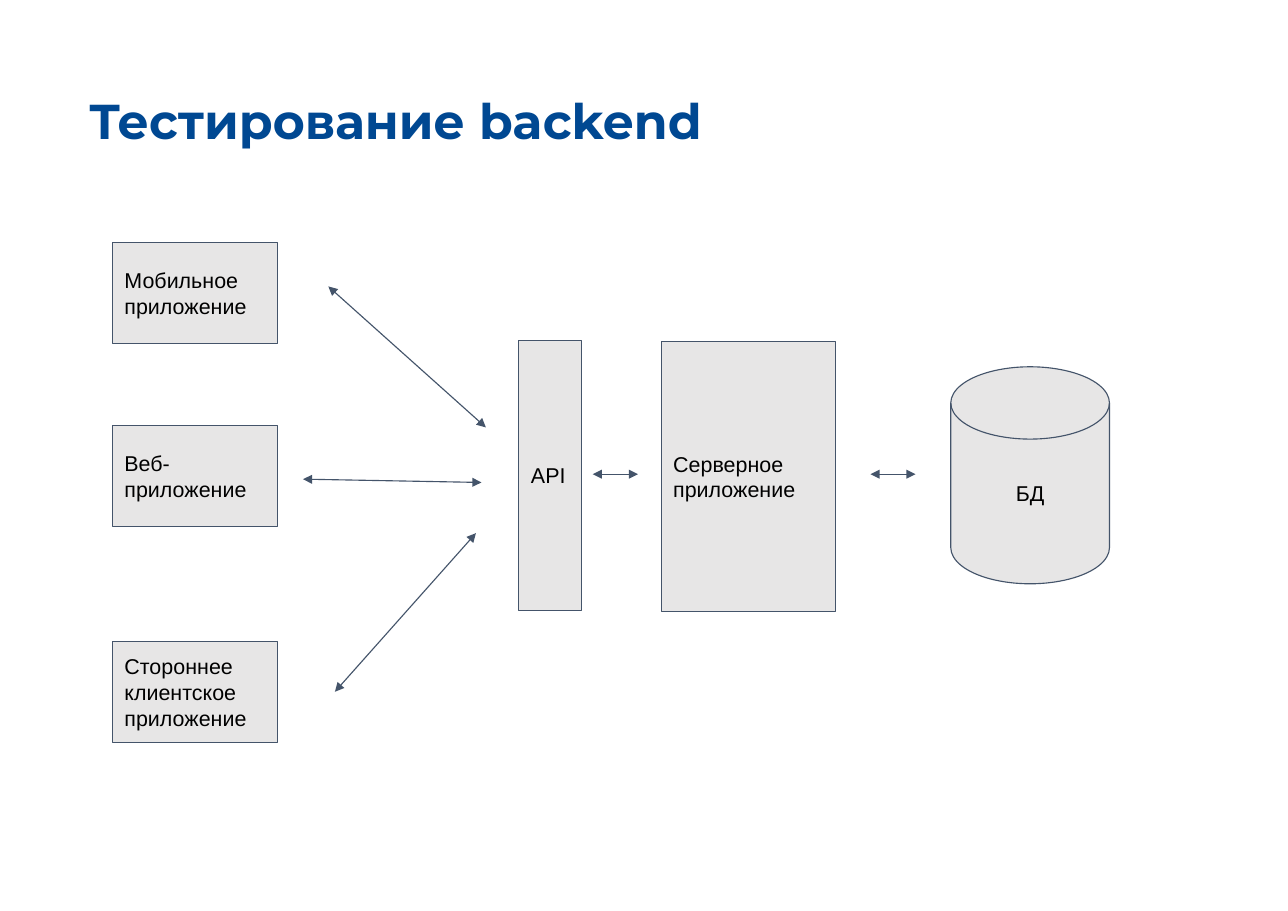
from lxml import etree
from pptx import Presentation
from pptx.dml.color import RGBColor
from pptx.enum.shapes import MSO_CONNECTOR, MSO_SHAPE
from pptx.enum.text import MSO_ANCHOR, PP_ALIGN
from pptx.oxml.ns import qn
from pptx.util import Inches, Pt

RECT, DISK = MSO_SHAPE.RECTANGLE, MSO_SHAPE.FLOWCHART_MAGNETIC_DISK
STRAIGHT = MSO_CONNECTOR.STRAIGHT
TOP, MIDDLE = MSO_ANCHOR.TOP, MSO_ANCHOR.MIDDLE
LEFT, CENTER = PP_ALIGN.LEFT, PP_ALIGN.CENTER

BLUE = RGBColor(0x00, 0x48, 0x92)
SLATE = RGBColor(0x44, 0x54, 0x6A)
GREY = RGBColor(0xE7, 0xE6, 0xE6)
BLACK = RGBColor(0x00, 0x00, 0x00)

SLIDE_W, SLIDE_H = 11.69, 8.27
LINE_W = Pt(0.75)


def set_text(sp, text, size=14, font="Arial", color=BLACK, bold=False,
             align=LEFT, anchor=MIDDLE, inset=0.11):
    tf = sp.text_frame
    tf.word_wrap = True
    tf.vertical_anchor = anchor
    tf.margin_left = tf.margin_right = Inches(inset)
    tf.margin_top = tf.margin_bottom = Inches(inset)
    p = tf.paragraphs[0]
    p.alignment = align
    r = p.add_run()
    r.text = text
    r.font.size, r.font.name = Pt(size), font
    r.font.bold, r.font.color.rgb = bold, color


def add_node(slide, text, x, y, w, h, kind=RECT, align=LEFT):
    sp = slide.shapes.add_shape(kind, *map(Inches, (x, y, w, h)))
    sp.shadow.inherit = False
    sp.fill.solid()
    sp.fill.fore_color.rgb = GREY
    sp.line.color.rgb = SLATE
    sp.line.width = LINE_W
    set_text(sp, text, align=align)


def add_double_arrow(slide, x1, y1, x2, y2):
    line = slide.shapes.add_connector(STRAIGHT, *map(Inches, (x1, y1, x2, y2)))
    line.line.color.rgb = SLATE
    line.line.width = LINE_W
    ln = line.line._get_or_add_ln()
    for end in ("a:headEnd", "a:tailEnd"):
        etree.SubElement(ln, qn(end), type="triangle")
    etree.SubElement(line._element.spPr, qn("a:effectLst"))


def add_title(slide, x, y, w, h):
    sp = slide.shapes.add_textbox(*map(Inches, (x, y, w, h)))
    set_text(sp, "Тестирование backend", size=32, font="Montserrat",
             color=BLUE, bold=True, anchor=TOP, inset=0.1)


def add_clients(slide, x, y, w, h):
    """Client applications, with their arrows towards the API."""
    node_w, node_h = 1.5, 0.92
    clients = [  # name, top of the box, ends of the arrow
        ("Мобильное приложение", 0, (1.96, 0.4, w, 1.68)),
        ("Веб- приложение", 1.66, (1.73, 2.15, 3.35, 2.18)),
        ("Стороннее клиентское приложение", h - node_h, (2.02, 4.08, 3.3, 2.64)),
    ]
    for name, top, (x1, y1, x2, y2) in clients:
        add_node(slide, name, x, y + top, node_w, node_h)
        add_double_arrow(slide, x + x1, y + y1, x + x2, y + y2)


def add_backend(slide, x, y, w, h):
    """API, server application and database in one row."""
    disk_w, disk_h = 1.44, 1.97
    add_node(slide, "API", x, y, 0.57, h)
    add_node(slide, "Серверное приложение", x + 1.29, y + 0.01, 1.58, h)
    add_node(slide, "БД", x + w - disk_w, y + (h - disk_h) / 2,
             disk_w, disk_h, kind=DISK, align=CENTER)
    arrow_y = y + h / 2 - 0.01
    for left in (0.67, 3.19):
        add_double_arrow(slide, x + left, arrow_y, x + left + 0.41, arrow_y)


def main():
    prs = Presentation()
    prs.slide_width, prs.slide_height = Inches(SLIDE_W), Inches(SLIDE_H)
    slide = prs.slides.add_slide(prs.slide_layouts[6])
    add_title(slide, 0.71, 0.72, SLIDE_W - 2 * 0.71, 0.92)
    add_clients(slide, 1.02, 2.2, 3.39, 4.54)
    add_backend(slide, 4.71, 3.09, 5.36, 2.45)
    prs.save("out.pptx")


if __name__ == "__main__":
    main()
